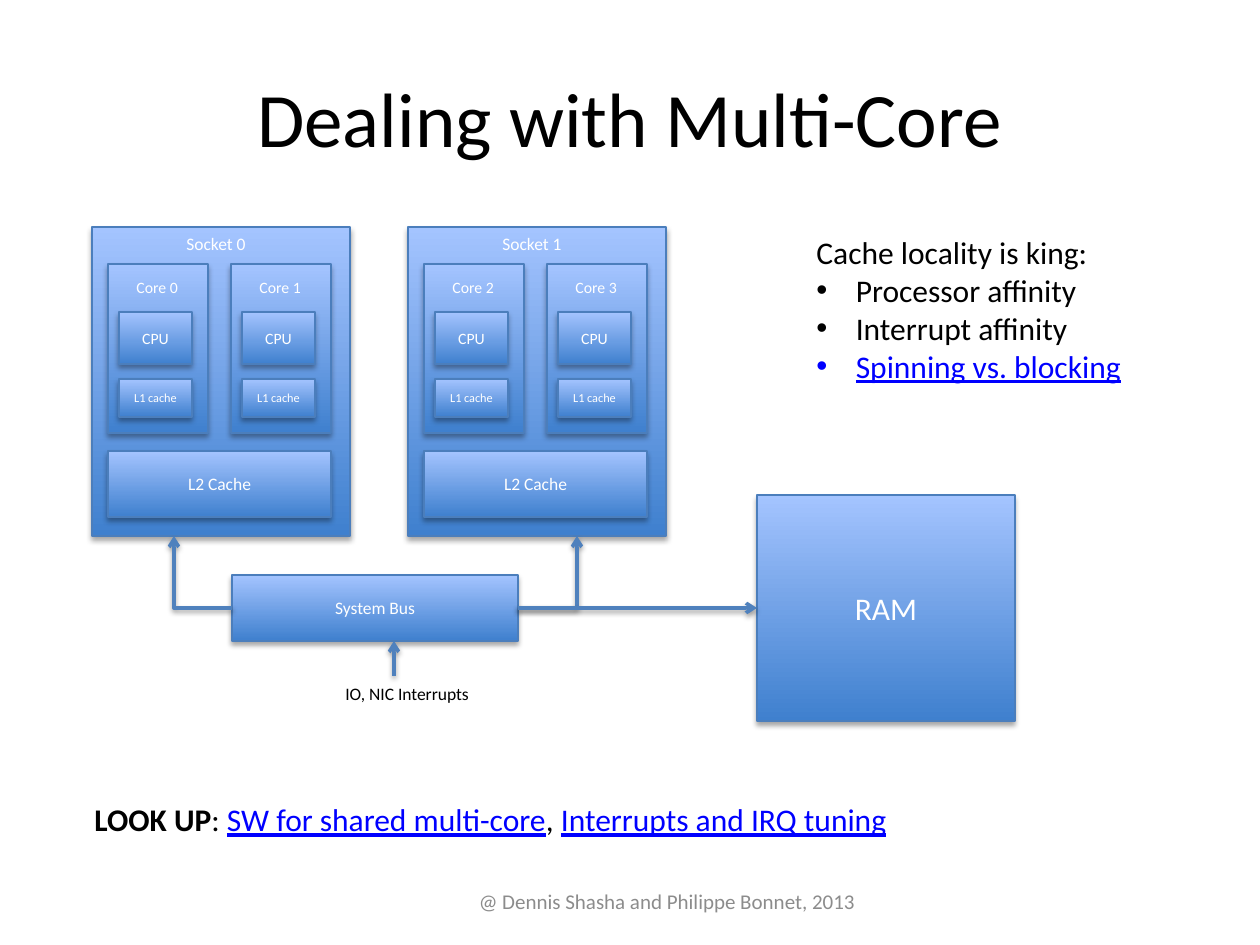
from lxml.etree import SubElement
from pptx import Presentation
from pptx.dml.color import RGBColor
from pptx.enum.shapes import MSO_CONNECTOR, MSO_SHAPE
from pptx.enum.text import MSO_ANCHOR, PP_ALIGN
from pptx.oxml.ns import qn
from pptx.util import Pt

PX = 914400 / 126
FONT = "Calibri"
COLORS = {
    "text": "000000", "footer": "8C8C8C", "link": "0000FF", "label": "FFFFFF",
    "dark": "3F80CE", "light": "A4C4FF", "edge": "4B7EBC", "arrow": "4F81BD",
}

TITLE = "Dealing with Multi-Core"
FOOTER = "@ Dennis Shasha and Philippe Bonnet, 2013"
LOOK_UP = [
    ("LOOK UP", {"bold": True}),
    (": ", {}),
    ("SW for shared multi-core", {"link": True}),
    (", ", {}),
    ("Interrupts and IRQ tuning", {"link": True}),
]
LOCALITY_HEADING = "Cache locality is king:"
LOCALITY = [
    ("Processor affinity", {}),
    ("Interrupt affinity", {}),
    ("Spinning vs. blocking", {"link": True}),
]
SOCKETS = [("Socket 0", ["Core 0", "Core 1"]), ("Socket 1", ["Core 2", "Core 3"])]

SOCKET_X, SOCKET_Y, SOCKET_W, SOCKET_H, SOCKET_PITCH = 92, 227, 258, 309, 316
CORE_W, CORE_H, CORE_PITCH = 100, 169, 123
SOCKET_PAD, CORE_PAD = 16, 11
PART_W = 73
BUS = (232, 575, 286, 66)
RAM = (757, 495, 258, 226)


def emu(*lengths):
    return [round(n * PX) for n in lengths]


def rgb(name):
    return RGBColor.from_string(COLORS[name])


def add_shadow(sp, distance, alpha):
    effects = SubElement(sp._element.spPr, qn("a:effectLst"))
    shadow = SubElement(effects, qn("a:outerShdw"), blurRad=str(Pt(3.1)),
                        dist=str(Pt(distance)), dir="5400000", rotWithShape="0")
    color = SubElement(shadow, qn("a:srgbClr"), val="000000")
    SubElement(color, qn("a:alpha"), val=str(alpha * 1000))


def add_bullet(p):
    pPr = p._p.get_or_add_pPr()
    pPr.set("marL", "285750")
    pPr.set("indent", "-285750")
    SubElement(pPr, qn("a:buFont"), typeface="Arial")
    SubElement(pPr, qn("a:buChar"), char="•")


def write(sp, paragraphs, size, color="text", align=PP_ALIGN.LEFT,
          anchor=MSO_ANCHOR.TOP, wrap=False, bullets_from=None):
    if isinstance(paragraphs, str):
        paragraphs = [[(paragraphs, {})]]
    tf = sp.text_frame
    tf.word_wrap = wrap
    tf.vertical_anchor = anchor
    for i, runs in enumerate(paragraphs):
        p = tf.add_paragraph() if i else tf.paragraphs[0]
        p.alignment = align
        if bullets_from is not None and i >= bullets_from:
            add_bullet(p)
        for text, style in runs:
            r = p.add_run()
            r.text = text
            link = style.get("link", False)
            r.font.name = FONT
            r.font.size = Pt(size)
            r.font.bold = style.get("bold", False)
            r.font.underline = link
            r.font.color.rgb = rgb("link" if link else color)


def add_text(s, box, paragraphs, size, **style):
    sp = s.shapes.add_textbox(*emu(*box))
    write(sp, paragraphs, size, **style)


def add_box(s, box, text=None, size=10):
    sp = s.shapes.add_shape(MSO_SHAPE.RECTANGLE, *emu(*box))
    sp.fill.gradient()
    sp.fill.gradient_angle = 90
    for stop, name, position in zip(sp.fill.gradient_stops, ("dark", "light"), (0, 1)):
        stop.color.rgb = rgb(name)
        stop.position = position
    sp.line.color.rgb = rgb("edge")
    sp.line.width = Pt(0.75)
    add_shadow(sp, 1.8, 35)
    if text:
        write(sp, text, size, color="label", align=PP_ALIGN.CENTER,
              anchor=MSO_ANCHOR.MIDDLE)
    return sp


def add_arrow(s, start, end, bent=False):
    kind = MSO_CONNECTOR.ELBOW if bent else MSO_CONNECTOR.STRAIGHT
    c = s.shapes.add_connector(kind, *emu(*start, *end))
    spPr = c._element.spPr
    if bent:
        spPr.find(qn("a:prstGeom")).set("prst", "bentConnector2")
    c.line.color.rgb = rgb("arrow")
    c.line.width = Pt(2)
    SubElement(spPr.find(qn("a:ln")), qn("a:tailEnd"), type="arrow")
    add_shadow(c, 1.6, 38)
    return c


def add_core(s, x, y, name):
    add_box(s, (x, y, CORE_W, CORE_H))
    add_box(s, (x + CORE_PAD, y + 48, PART_W, 52), "CPU", 9)
    add_box(s, (x + CORE_PAD, y + 115, PART_W, 38), "L1 cache", 7)
    add_text(s, (x + 16, y + 8, 68, 31), name, 9, color="label")


def add_socket(s, x, y, name, cores):
    add_box(s, (x, y, SOCKET_W, SOCKET_H))
    for i, core in enumerate(cores):
        add_core(s, x + SOCKET_PAD + i * CORE_PITCH, y + 37, core)
    l2_width = CORE_PITCH * (len(cores) - 1) + CORE_W
    add_box(s, (x + SOCKET_PAD, y + 224, l2_width, 66), "L2 Cache")
    add_text(s, (x + 82, y, 86, 34), name, 10, color="label")


def main():
    prs = Presentation()
    prs.slide_width, prs.slide_height = emu(1260, 945)
    s = prs.slides.add_slide(prs.slide_layouts[6])

    centred = {"align": PP_ALIGN.CENTER, "anchor": MSO_ANCHOR.MIDDLE, "wrap": True}
    add_text(s, (63, 38, 1134, 158), TITLE, 44, **centred)
    add_text(s, (431, 876, 472, 50), FOOTER, 12, color="footer", **centred)
    add_text(s, (82, 794, 829, 50), [LOOK_UP], 18)

    for i, (name, cores) in enumerate(SOCKETS):
        add_socket(s, SOCKET_X + i * SOCKET_PITCH, SOCKET_Y, name, cores)

    bus = add_box(s, BUS, "System Bus")
    ram = add_box(s, RAM, "RAM", 18)
    left, top, width, height = BUS
    right, bottom, middle = left + width, top + height, top + height // 2
    socket_bottom = SOCKET_Y + SOCKET_H
    add_arrow(s, (left, middle), (174, socket_bottom), bent=True)
    add_arrow(s, (right, middle), (577, socket_bottom), bent=True)
    add_arrow(s, (394, 676), (394, bottom))
    link = add_arrow(s, (right, middle), (RAM[0], middle))
    link.begin_connect(bus, 3)
    link.end_connect(ram, 1)

    add_text(s, (333, 677, 151, 34), "IO, NIC Interrupts", 10)
    locality = [[(LOCALITY_HEADING, {})]] + [[item] for item in LOCALITY]
    add_text(s, (804, 227, 331, 165), locality, 18, bullets_from=1)

    prs.save("out.pptx")


if __name__ == "__main__":
    main()
